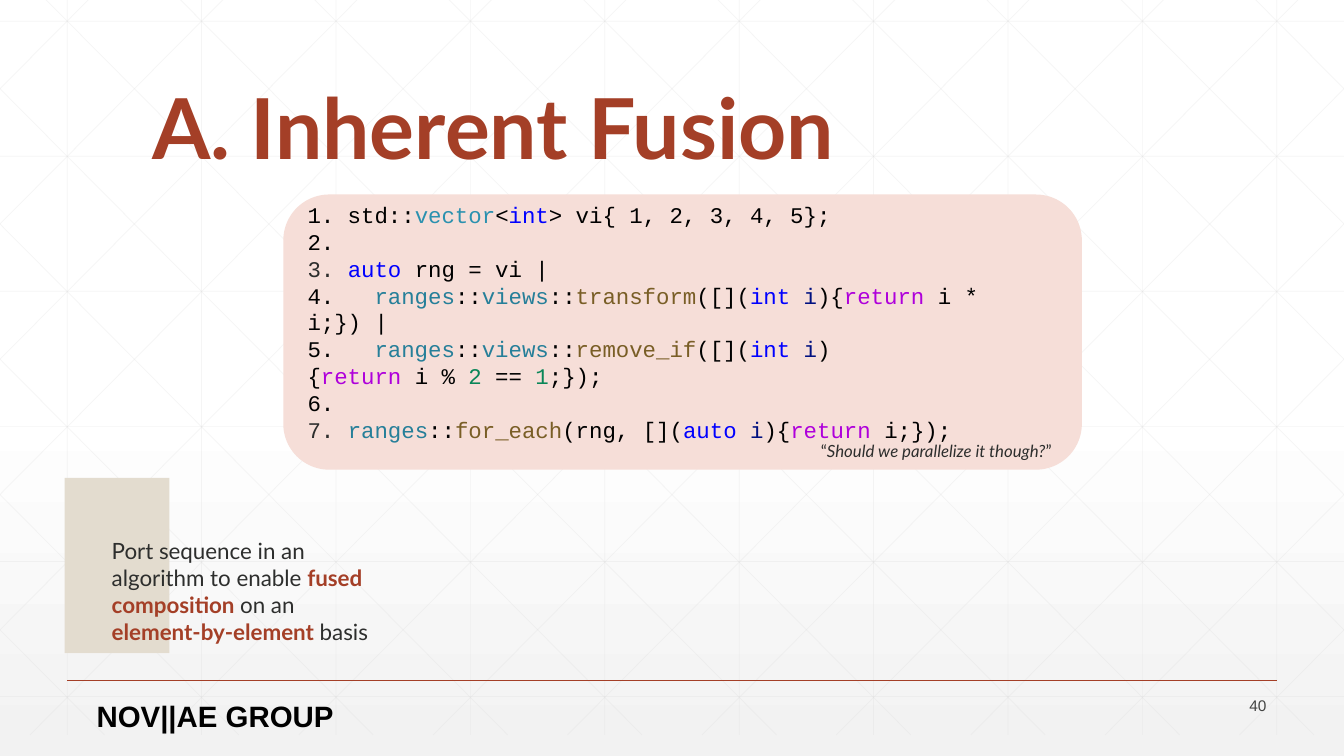
from lxml import etree
from pptx import Presentation
from pptx.dml.color import RGBColor
from pptx.enum.shapes import MSO_CONNECTOR, MSO_SHAPE
from pptx.enum.text import MSO_ANCHOR, MSO_AUTO_SIZE, PP_ALIGN
from pptx.oxml.ns import qn
from pptx.util import Inches, Pt

LINE = MSO_CONNECTOR.STRAIGHT
TOP, MIDDLE, BOTTOM = MSO_ANCHOR.TOP, MSO_ANCHOR.MIDDLE, MSO_ANCHOR.BOTTOM
LEFT, RIGHT = PP_ALIGN.LEFT, PP_ALIGN.RIGHT
NBSP = chr(160)

W, H = 13.33, 7.5
CELL = W / 10
GRID_TOP, RUN = -0.21, 7.45
RUST, INK, BLACK = "A43F27", "2D2E2D", "000000"
TYPE, KEYWORD, SCOPE, FUNC = "2B91AF", "0000FF", "267F99", "795E26"
PARAM, RETURN, NUMBER = "001080", "AF00DB", "098658"

# "~" stands for a non-breaking space
VIEWS = [("ranges", SCOPE), ("::", BLACK), ("views", SCOPE), ("::", BLACK)]
LAMBDA = [("([](", BLACK), ("int~", KEYWORD), ("i", PARAM), ("){", BLACK), ("return", RETURN)]
CODE = [
    [("1. std::", BLACK), ("vector", TYPE), ("<", BLACK), ("int", KEYWORD),
     ("> vi{ 1, 2, 3, 4, 5};", BLACK)],
    [("2.", BLACK)],
    [("3. ", INK), ("auto~", KEYWORD), ("rng~=~vi~|~", BLACK)],
    [("4.~ ~", BLACK), *VIEWS, ("transform", FUNC), *LAMBDA, ("~i * i;})~|", BLACK)],
    [("5. ~~", BLACK), *VIEWS, ("remove_if", FUNC), *LAMBDA, ("~i~%~", BLACK),
     ("2", NUMBER), ("~==~", BLACK), ("1", NUMBER), (";});", BLACK)],
    [("6.", BLACK)],
    [("7.~", INK), ("ranges", SCOPE), ("::", BLACK), ("for_each", FUNC),
     ("(rng,~[](", BLACK), ("auto~", KEYWORD), ("i", PARAM), ("){", BLACK),
     ("return~", RETURN), ("i;});", BLACK)],
]

# left, top, width, height, anchor, alignment, font, size, paragraphs of (text, colour, style)
TEXTS = [
    (2.92, 2.13, 7.81, 2.13, MIDDLE, LEFT, "Courier New", 16, CODE),
    (0.86, 6.88, 2.6, 0.45, TOP, LEFT, "Arial", 21, [[("NOV||AE GROUP", BLACK, "b")]]),
    (1.01, 5.28, 2.82, 1.72, TOP, LEFT, "Lato", 16,
     [[("Port sequence in an algorithm to enable ", INK), ("fused composition ", RUST, "b"),
       ("on an ", INK), ("element-by-element ", RUST, "b"), ("basis", INK)]]),
    (7.95, 4.32, 2.58, 0.84, TOP, RIGHT, "Lato", 12,
     [[("“", INK), ("Should we parallelize it though?", INK, "i"), ("”", INK)]]),
    (11.66, 6.88, 1, 0.24, MIDDLE, RIGHT, "Arial", 11, [[("40", "424342")]]),
]


def rgb(value):
    return RGBColor.from_string(value)


def add_line(x1, y1, x2, y2, colour, width, alpha=100):
    c = s.shapes.add_connector(LINE, Inches(x1), Inches(y1), Inches(x2), Inches(y2))
    c.line.color.rgb = rgb(colour)
    c.line.width = Pt(width)
    etree.SubElement(c.line.color._xFill.find(qn("a:srgbClr")), qn("a:alpha"),
                     val=str(alpha * 1000))
    etree.SubElement(c._element.spPr, qn("a:effectLst"))


prs = Presentation()
prs.slide_width, prs.slide_height = Inches(W), Inches(H)
s = prs.slides.add_slide(prs.slide_layouts[5])

# Background
fill = s.background.fill
fill.gradient()
fill.gradient_angle = 270
for stop, position, colour in zip(fill.gradient_stops, (0.53, 1), ("FFFFFF", "F2F2F2")):
    stop.position = position
    stop.color.rgb = rgb(colour)

# Grid: verticals, horizontals, then diagonals clipped to the slide and mirrored
grid = [((i + 0.5) * CELL, GRID_TOP, (i + 0.5) * CELL, GRID_TOP + H) for i in range(10)]
grid += [(0, 0.21 + 1.34 * i, W, 0.21 + 1.34 * i) for i in range(6)]
for i in range(-5, 10):
    start = 0.25 + i * CELL
    x1, x2 = max(start, 0), min(start + RUN, W)
    y1, y2 = (GRID_TOP + (x - start) * H / RUN for x in (x1, x2))
    grid += [(x1, y1, x2, y2), (W - x1, y1, W - x2, y2)]
for ends in grid:
    add_line(*ends, "D9D9D9", 0.5, 25)
add_line(CELL / 2, 6.75, W - CELL / 2, 6.75, RUST, 1)

# Title, raised above the grid
title = s.shapes.title
s.shapes._spTree.append(title._element)
title.left, title.top, title.width, title.height = map(Inches, (1.41, 0.56, 10.5, 1.25))
tf = title.text_frame
tf.text = "A. Inherent Fusion"
tf.auto_size = MSO_AUTO_SIZE.NONE
tf.vertical_anchor = BOTTOM
p = tf.paragraphs[0]
p.alignment = LEFT
p.line_spacing = 0.9
font = p.runs[0].font
font.name, font.size, font.bold = "Lato", Pt(60), True
font.color.rgb = rgb(RUST)

# Code panel and accent block
for kind, box, colour in (
    (MSO_SHAPE.ROUNDED_RECTANGLE, (2.81, 1.93, 7.92, 2.73), "F6DED8"),
    (MSO_SHAPE.RECTANGLE, (0.64, 4.74, 1.04, 1.74), "E3DCCF"),
):
    sp = s.shapes.add_shape(kind, *map(Inches, box))
    sp.shadow.inherit = False
    sp.fill.solid()
    sp.fill.fore_color.rgb = rgb(colour)
    sp.line.fill.background()

# Texts
for *box, anchor, align, name, size, paragraphs in TEXTS:
    tf = s.shapes.add_textbox(*map(Inches, box)).text_frame
    tf.word_wrap = True
    tf.vertical_anchor = anchor
    if paragraphs is CODE:
        tf.margin_left = tf.margin_right = tf.margin_top = tf.margin_bottom = Inches(0.13)
    for i, runs in enumerate(paragraphs):
        p = tf.add_paragraph() if i else tf.paragraphs[0]
        p.alignment = align
        for text, colour, *style in runs:
            r = p.add_run()
            r.text = text.replace("~", NBSP)
            r.font.name, r.font.size = name, Pt(size)
            r.font.bold, r.font.italic = "b" in style, "i" in style
            r.font.color.rgb = rgb(colour)

prs.save("out.pptx")
